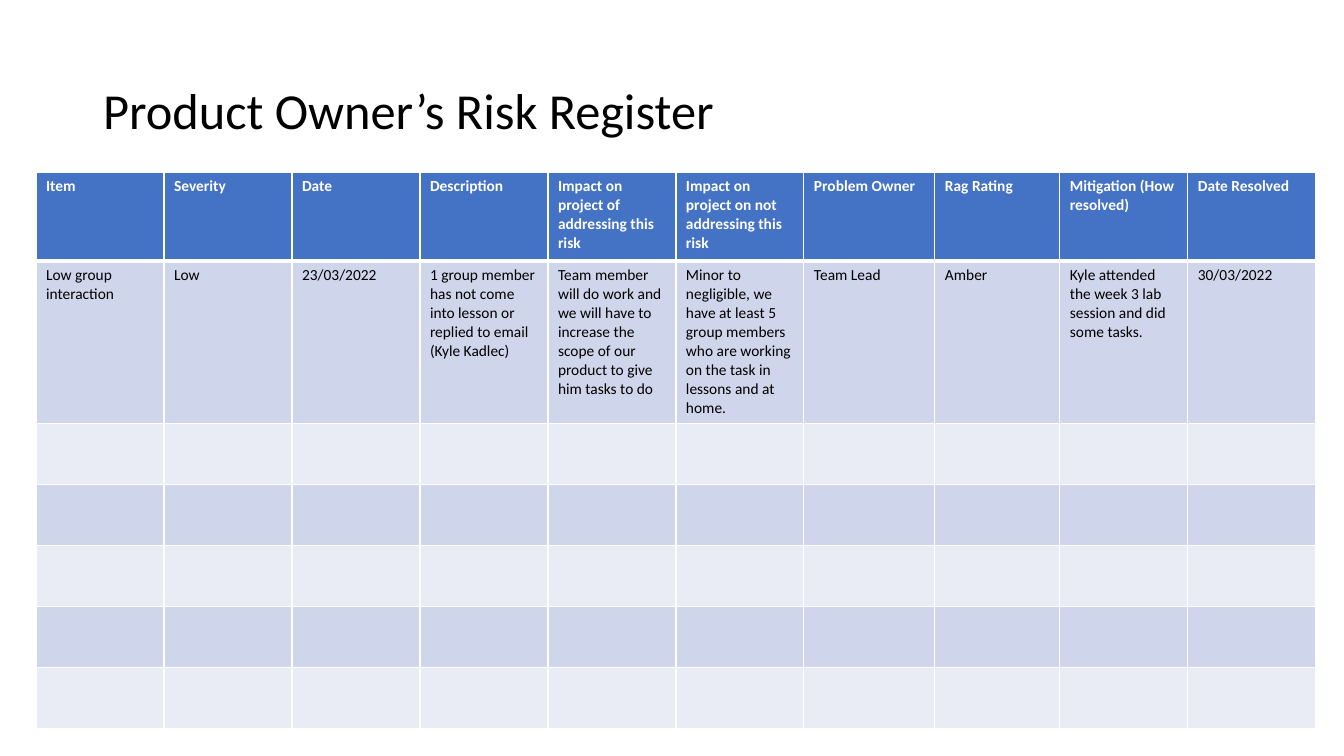
from lxml.etree import SubElement as Sub
from pptx import Presentation
from pptx.dml.color import RGBColor as Rgb
from pptx.enum.text import MSO_ANCHOR as Anchor, PP_ALIGN as Align
from pptx.oxml.ns import qn
from pptx.util import Pt

PX = 914400 / 100.8
HUES = {"white": "FFFFFF", "black": "000000", "head": "4472C4",
        "dark": "CFD5EA", "light": "E9EBF5"}
COLS = [128] * 6 + [131, 125] + [128] * 2
ROWS = [89, 162] + [61] * 5
HEADS = ["Item", "Severity", "Date", "Description",
         "Impact on project of addressing this risk",
         "Impact on project on not addressing this risk",
         "Problem Owner", "Rag Rating", "Mitigation (How resolved)",
         "Date Resolved"]
RISK = ["Low group interaction", "Low", "23/03/2022",
        "1 group member has not come into lesson or replied to email\n"
        "(Kyle Kadlec)",
        "Team member will do work and we will have to increase the scope "
        "of our product to give him tasks to do",
        "Minor to negligible, we have at least 5 group members who are "
        "working on the task in lessons and at home.",
        "Team Lead", "Amber",
        "Kyle attended the\u00a0week 3 lab session and did some tasks.",
        "30/03/2022"]


def emu(px):
    """Turn pixels into EMU."""
    return round(px * PX)


def style(frame, size, hue, bold=False):
    """Format every run of a text frame."""
    for para in frame.paragraphs:
        for run in para.runs:
            font = run.font
            font.name, font.size, font.bold = "Calibri", Pt(size), bold
            font.color.rgb = Rgb.from_string(HUES[hue])


def edge(cell, side, width):
    """Draw one white border of a cell."""
    line = Sub(cell._tc.get_or_add_tcPr(), qn("a:ln" + side), w=str(Pt(width)))
    fill = Sub(line, qn("a:solidFill"))
    Sub(fill, qn("a:srgbClr"), val=HUES["white"])


def add_title(slide, box):
    """Place the title in its box."""
    title = slide.shapes.title
    title.left, title.top, title.width, title.height = map(emu, box)
    frame = title.text_frame
    frame.text = "Product Owner\u2019s Risk Register"
    frame.vertical_anchor = Anchor.MIDDLE
    para = frame.paragraphs[0]
    para.alignment, para.line_spacing = Align.LEFT, 0.9
    style(frame, 36, "black")


def add_risks(slide, left, top):
    """Place the risk table with its corner at left, top."""
    box = map(emu, (left, top, sum(COLS), sum(ROWS)))
    table = slide.shapes.add_table(len(ROWS), len(COLS), *box).table
    for col, width in zip(table.columns, COLS):
        col.width = emu(width)
    texts = [HEADS, RISK]
    for i, row in enumerate(table.rows):
        row.height = emu(ROWS[i])
        head = i == 0
        hue = "head" if head else "dark" if i % 2 else "light"
        for j, cell in enumerate(row.cells):
            for side in "LRTB":
                thick = (head and side == "B") or (i == 1 and side == "T")
                edge(cell, side, 3 if thick else 1)
            cell.fill.solid()
            cell.fill.fore_color.rgb = Rgb.from_string(HUES[hue])
            if i < len(texts):
                cell.text_frame.text = texts[i][j]
                style(cell.text_frame, 11, "white" if head else "black", head)


def main():
    """Build and save the slide."""
    deck = Presentation()
    deck.slide_width, deck.slide_height = emu(1344), emu(756)
    slide = deck.slides.add_slide(deck.slide_layouts[5])
    add_title(slide, (93, 40, 838, 146))
    add_risks(slide, 36, 172)
    deck.save("out.pptx")


main()
